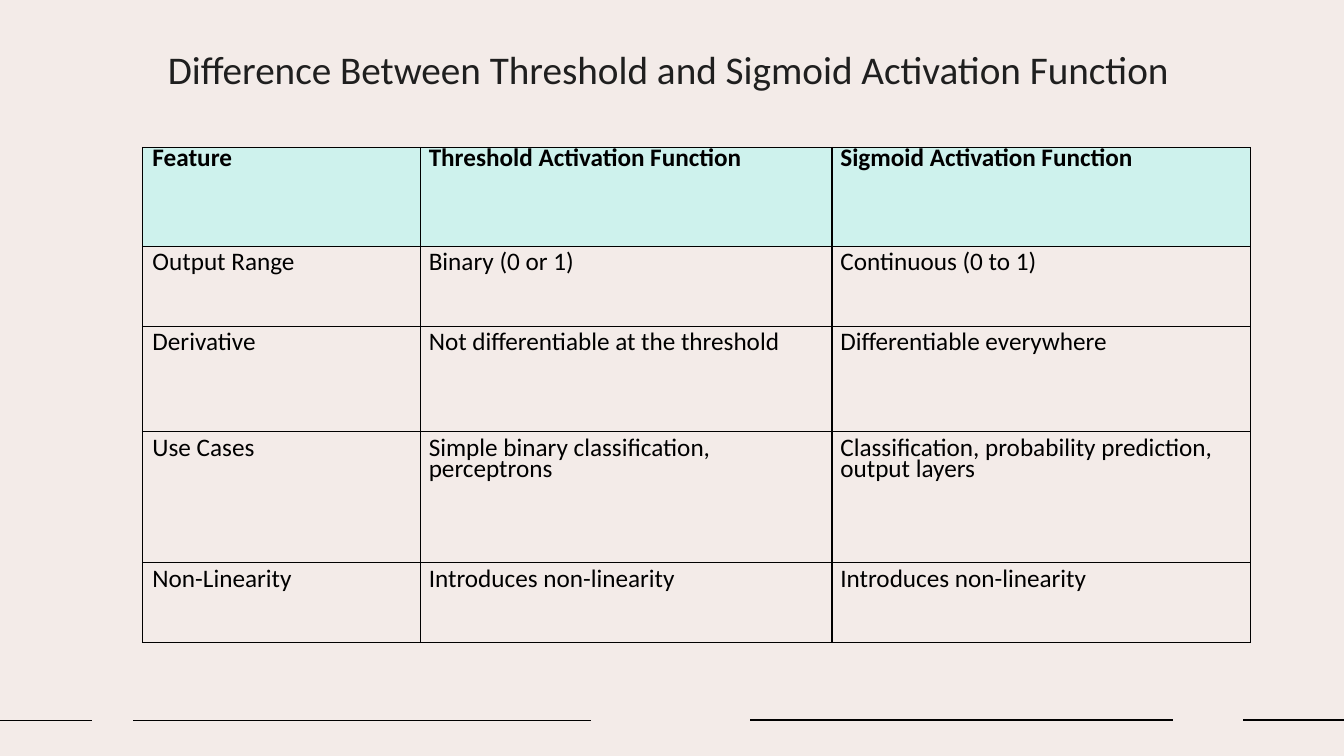
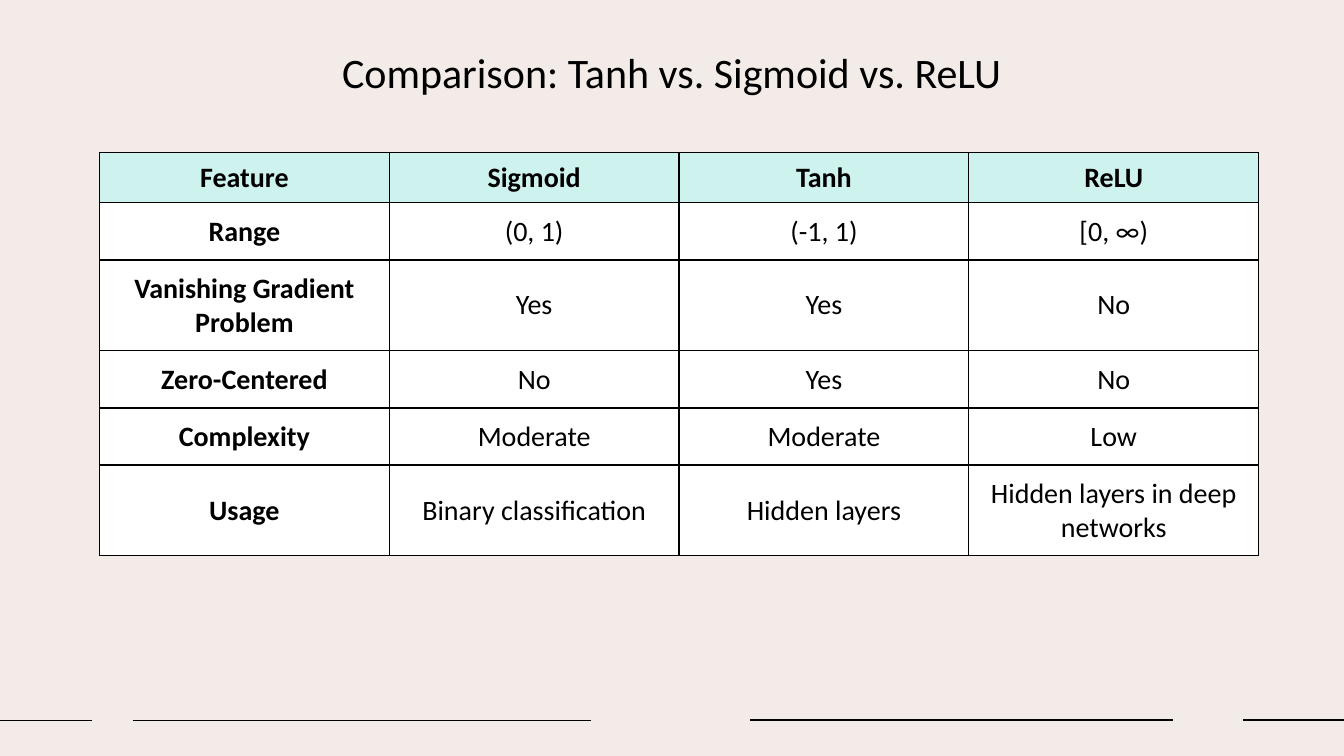
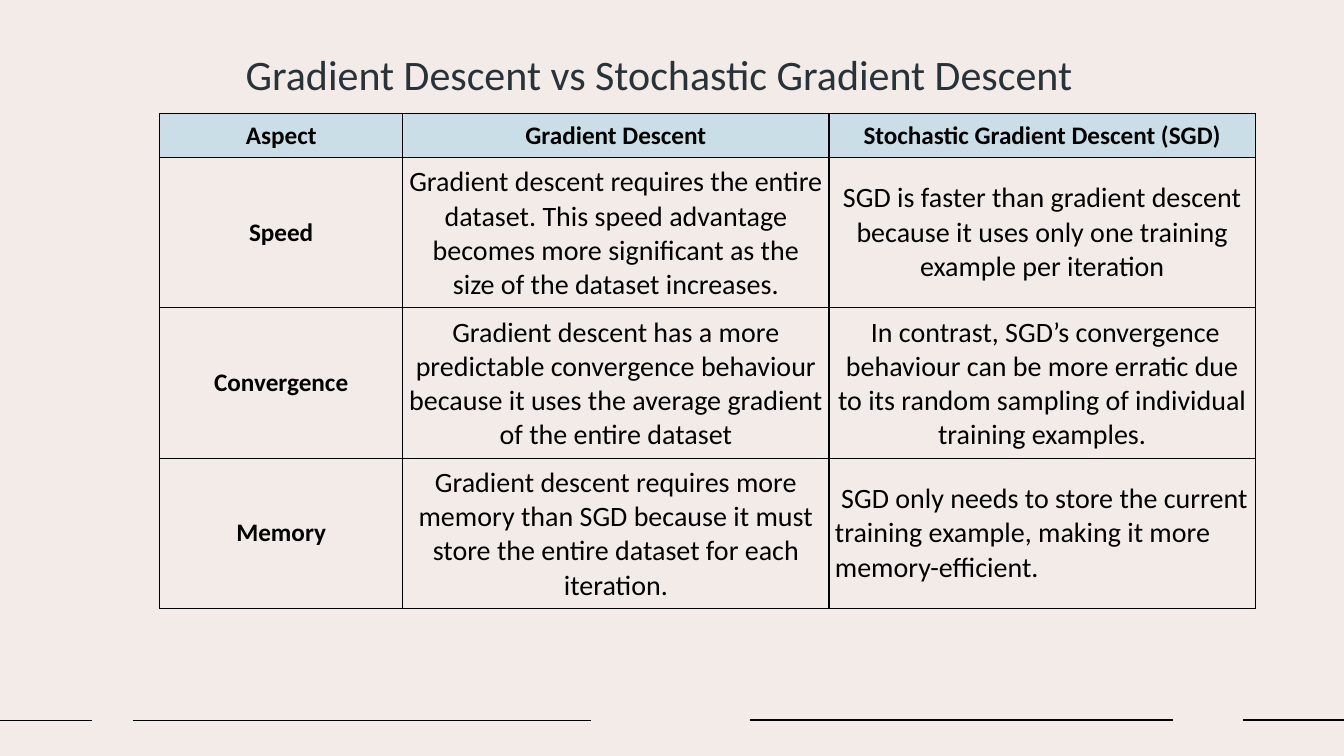
from lxml import etree
from pptx import Presentation
from pptx import util as u
from pptx.dml.color import RGBColor
from pptx.enum import shapes, text
from pptx.oxml import ns, parse_xml

COLUMNS, ROWS = 160, 90
CELL = u.Inches(1) / 12
PAPER, INK, MINT, SKY, WHITE = "F3EBE8", "000000", "CEF2ED", "CADEE7", "FFFFFF"
FONT = "Calibri"
FOOTER_RULES = [(0, 11, 85.8), (15.85, 70.4, 85.8), (89.3, 139.7, 85.7), (148, COLUMNS, 85.7)]
BORDER = (
    '<a:{side} {ns} w="12700"><a:solidFill><a:srgbClr val="{color}"/></a:solidFill></a:{side}>'
)


def grid(cells):
    return u.Emu(round(cells * CELL))


def rgb(color):
    return RGBColor.from_string(color)


def paint(target, color):
    """Give a fill a solid colour."""
    target.solid()
    target.fore_color.rgb = rgb(color)


class Deck:
    def __init__(self):
        self.deck = Presentation()
        self.deck.slide_width, self.deck.slide_height = grid(COLUMNS), grid(ROWS)
        paint(self.deck.slide_master.background.fill, PAPER)
        self.page = None

    def add_page(self):
        self.page = self.deck.slides.add_slide(self.deck.slide_layouts[6])
        for start, end, row in FOOTER_RULES:
            self.rule(start, end, row)

    def rule(self, start, end, row):
        line = self.page.shapes.add_connector(
            shapes.MSO_CONNECTOR.STRAIGHT, grid(start), grid(row), grid(end), grid(row))
        paint(line.line.fill, INK)
        line.line.width = u.Pt(1)
        etree.SubElement(line._element.spPr, ns.qn("a:effectLst"))

    def set_text(self, para, words, size, color=INK, bold=False, centered=True):
        para.text = words
        para.alignment = text.PP_ALIGN.CENTER if centered else text.PP_ALIGN.LEFT
        para.font.name, para.font.size, para.font.bold = FONT, u.Pt(size), bold
        para.font.color.rgb = rgb(color)

    def title(self, words, left, top, width, height, size=30, color=INK):
        box = self.page.shapes.add_textbox(*map(grid, (left, top, width, height)))
        box.text_frame.word_wrap = True
        box.text_frame.auto_size = text.MSO_AUTO_SIZE.SHAPE_TO_FIT_TEXT
        self.set_text(box.text_frame.paragraphs[0], words, size, color)

    def table(self, left, top, widths, heights, rows, head_fill, body_fill=PAPER,
              label_size=18, body_size=18, bold_labels=True, centered=True,
              spacing=None, edge=1, side=1, head_pad=1, body_pad=1):
        """Draw a ruled table; edge is the first column's side margin, side the others'."""
        frame = self.page.shapes.add_table(
            len(heights), len(widths), grid(left), grid(top),
            grid(sum(widths)), grid(sum(heights)))
        table = frame.table
        table.first_row = table.horz_banding = False
        for column, width in zip(table.columns, widths):
            column.width = grid(width)
        for row, height in zip(table.rows, heights):
            row.height = grid(height)
        for r, row in enumerate(rows):
            for c, words in enumerate(row):
                cell = table.cell(r, c)
                head, label = r == 0, r == 0 or c == 0
                cell.margin_left = cell.margin_right = grid(side if c else edge)
                cell.margin_top = cell.margin_bottom = grid(head_pad if head else body_pad)
                cell.vertical_anchor = (
                    text.MSO_ANCHOR.MIDDLE if centered else text.MSO_ANCHOR.TOP)
                self.border(cell)
                paint(cell.fill, head_fill if head else body_fill)
                para = cell.text_frame.paragraphs[0]
                self.set_text(para, words, label_size if label else body_size,
                              bold=head or (label and bold_labels), centered=centered)
                if spacing:
                    para.line_spacing = u.Pt(spacing)
        return table

    def border(self, cell):
        properties = cell._tc.get_or_add_tcPr()
        for side in ("lnL", "lnR", "lnT", "lnB"):
            properties.append(parse_xml(
                BORDER.format(side=side, ns=ns.nsdecls("a"), color=INK)))


def threshold_page(deck):
    deck.add_page()
    deck.title("Difference Between Threshold and Sigmoid Activation Function",
               10.2, 4.8, 138.7, 6.85, size=28, color="1F1F1F")
    deck.table(16.95, 17.55, [33.1, 49, 49.8], [11.8, 9.5, 12.55, 15.6, 9.5], [
        ("Feature", "Threshold Activation Function", "Sigmoid Activation Function"),
        ("Output Range", "Binary (0 or 1)", "Continuous (0 to 1)"),
        ("Derivative", "Not differentiable at the threshold", "Differentiable everywhere"),
        ("Use Cases", "Simple binary classification, perceptrons",
         "Classification, probability prediction, output layers"),
        ("Non-Linearity", "Introduces non-linearity", "Introduces non-linearity"),
    ], MINT, bold_labels=False, centered=False, spacing=15,
        edge=1.2, head_pad=0.6, body_pad=1.2)


def comparison_page(deck):
    deck.add_page()
    deck.title("Comparison: Tanh vs. Sigmoid vs. ReLU", 25.4, 4.9, 109.2, 7.3)
    single, double = 6.8, 10.8
    deck.table(11.85, 18.15, [34.5] * 4, [6, single, double, single, single, double], [
        ("Feature", "Sigmoid", "Tanh", "ReLU"),
        ("Range", "(0, 1)", "(-1, 1)", "[0, ∞)"),
        ("Vanishing Gradient Problem", "Yes", "Yes", "No"),
        ("Zero-Centered", "No", "Yes", "No"),
        ("Complexity", "Moderate", "Moderate", "Low"),
        ("Usage", "Binary classification", "Hidden layers", "Hidden layers in deep networks"),
    ], MINT, body_fill=WHITE, label_size=20, body_size=20, body_pad=1.4)


def descent_page(deck):
    deck.add_page()
    deck.title("Gradient Descent vs Stochastic Gradient Descent",
               19, 5.2, 119, 7.3, color="273239")
    table = deck.table(19, 13.5, [28.95, 50.75, 50.75], [5.25] + [17.9] * 3, [
        ("Aspect", "Gradient Descent", "Stochastic Gradient Descent (SGD)"),
        ("Speed",
         "Gradient descent requires the entire dataset. This speed advantage becomes more "
         "significant as the size of the dataset increases.",
         "SGD is faster than gradient descent because it uses only one training example "
         "per iteration"),
        ("Convergence",
         "Gradient descent has a more predictable convergence behaviour because it uses "
         "the average gradient of the entire dataset",
         " In contrast, SGD’s convergence behaviour can be more erratic due to its random "
         "sampling of individual training examples."),
        ("Memory",
         "Gradient descent requires more memory than SGD because it must store the entire "
         "dataset for each iteration.",
         " SGD only needs to store the current training example, making it more "
         "memory-efficient."),
    ], SKY, body_size=20, edge=0.4, side=0.7, head_pad=0.7, body_pad=0.9)
    table.cell(3, 2).text_frame.paragraphs[0].alignment = text.PP_ALIGN.LEFT


def main():
    deck = Deck()
    threshold_page(deck)
    comparison_page(deck)
    descent_page(deck)
    deck.deck.save("out.pptx")


if __name__ == "__main__":
    main()
